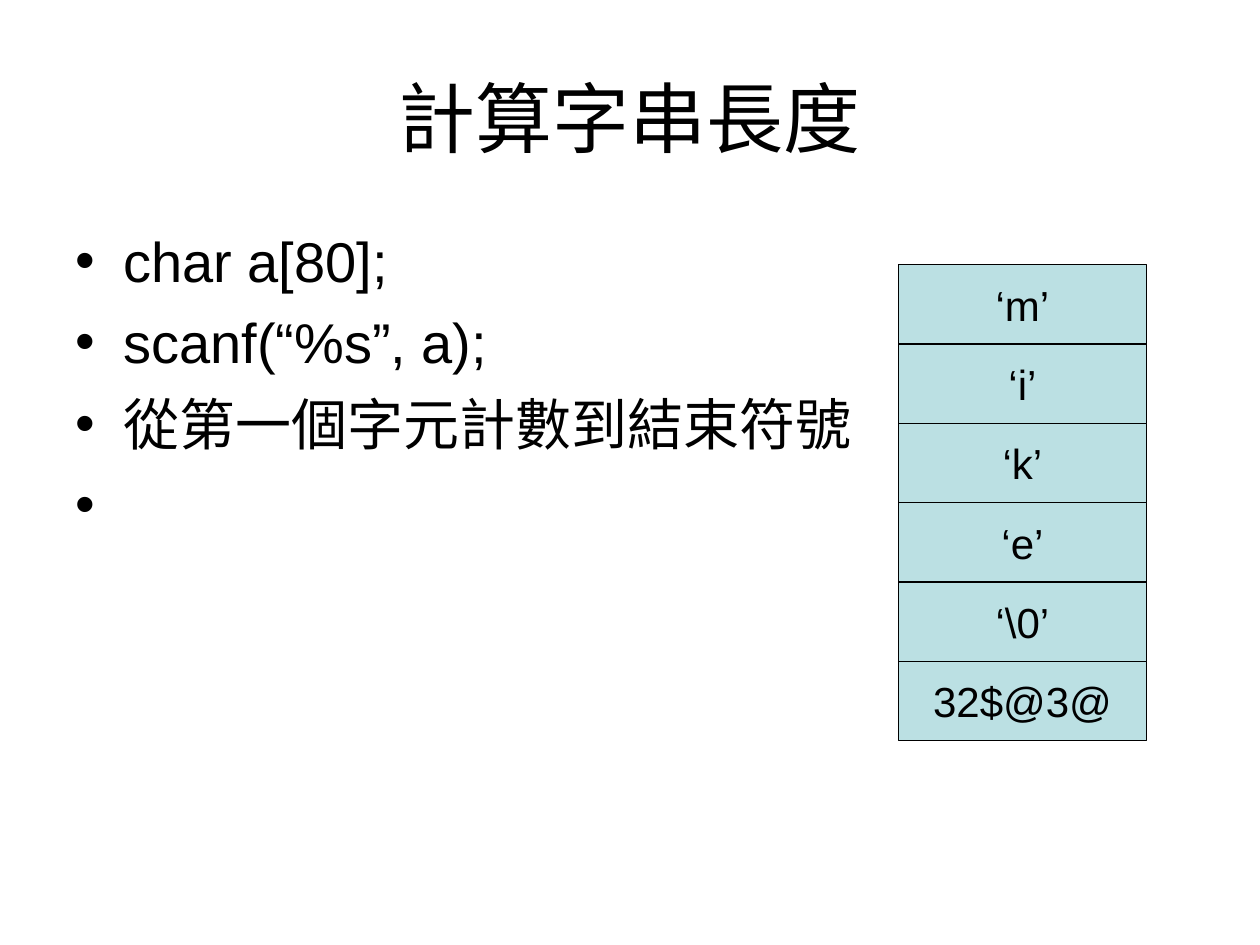
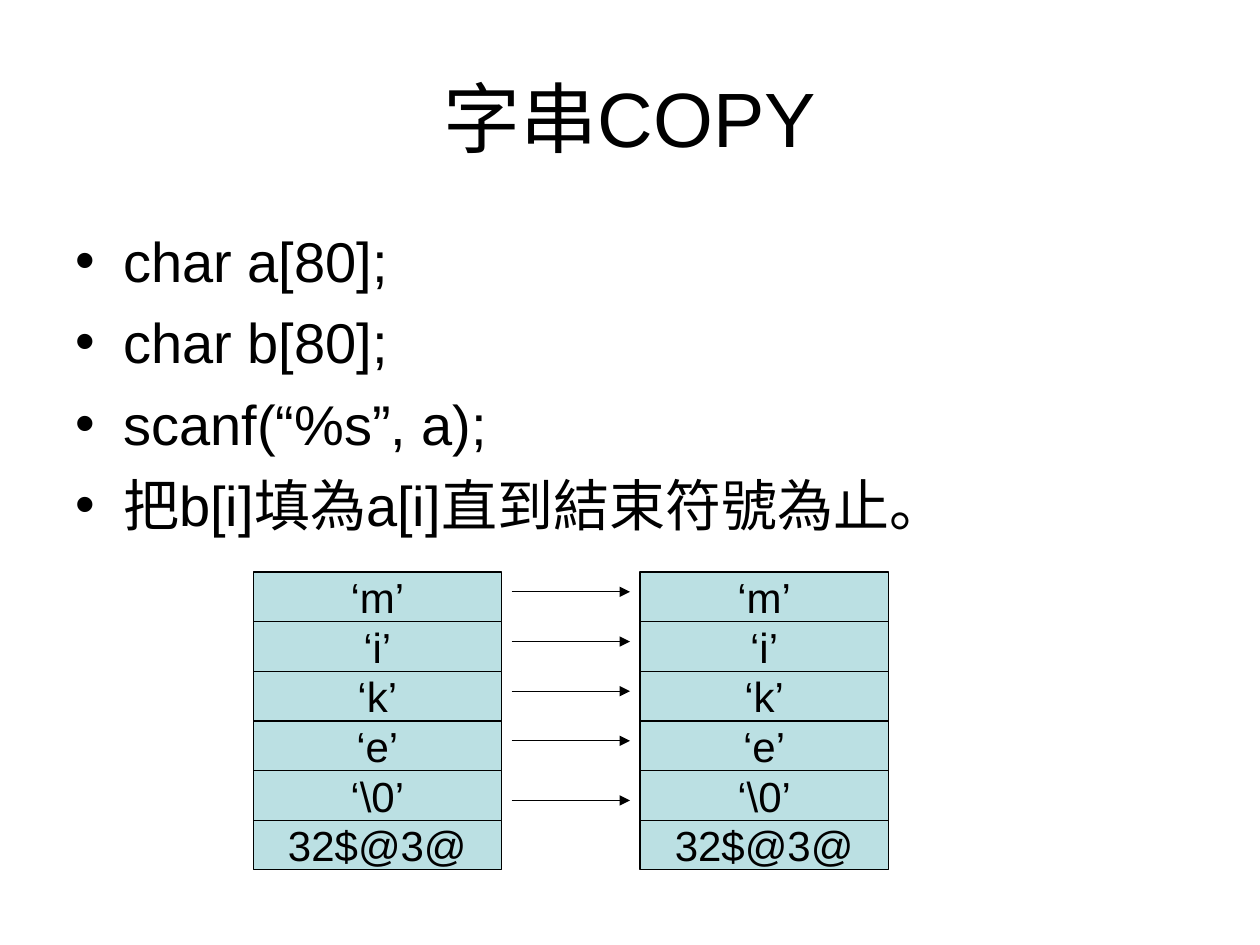
import dataclasses

import lxml.etree
import pptx
import pptx.dml.color
import pptx.enum.shapes
import pptx.enum.text
import pptx.oxml.ns
import pptx.util

Inches = pptx.util.Inches
Pt = pptx.util.Pt
qn = pptx.oxml.ns.qn


@dataclasses.dataclass(frozen=True)
class Theme:
    font: str = "Arial"
    ink: pptx.dml.color.RGBColor = pptx.dml.color.RGBColor(0, 0, 0)
    cell: pptx.dml.color.RGBColor = pptx.dml.color.RGBColor(0xBB, 0xE0, 0xE3)
    title_size: int = 44
    body_size: int = 32
    cell_size: int = 24
    line_width: float = 0.75


theme = Theme()
WIDTH, HEIGHT = 10, 7.5
MARGIN = WIDTH * 0.05
CONTENT = WIDTH - 2 * MARGIN
TITLE_TOP, TITLE_HEIGHT = HEIGHT * 0.04, 1.25
BODY_TOP, BODY_HEIGHT = 1.75, HEIGHT * 0.66
BULLET_INDENT = 0.38
CELL_WIDTH = 1.97
MEMORY = ["‘m’", "‘i’", "‘k’", "‘e’", "‘\\0’", "32$@3@"]

# Each array is (left, top, row height)
slides = [
    {
        "title": "計算字串長度",
        "bullets": ["char a[80];", "scanf(“%s”, a);", "從第一個字元計數到結束符號", " "],
        "arrays": [(7.13, 2.1, 0.63)],
        "arrow_rows": [],
    },
    {
        "title": "字串COPY",
        "bullets": ["char a[80];", "char b[80];", "scanf(“%s”, a);", "把b[i]填為a[i]直到結束符號為止。"],
        "arrays": [(2.01, 4.54, 0.394), (5.08, 4.54, 0.394)],
        "arrow_rows": [0.4, 1.4, 2.4, 3.4, 4.6],
    },
]


def add_run(p, text, size):
    r = p.add_run()
    r.text = text
    r.font.name = theme.font
    r.font.size = Pt(size)
    r.font.color.rgb = theme.ink


def add_text_box(s, top, height):
    """Add a full-width text box and return its text frame."""
    sp = s.shapes.add_textbox(Inches(MARGIN), Inches(top), Inches(CONTENT), Inches(height))
    sp.text_frame.word_wrap = True
    return sp.text_frame


prs = pptx.Presentation()
prs.slide_width = Inches(WIDTH)
prs.slide_height = Inches(HEIGHT)

for content in slides:
    s = prs.slides.add_slide(prs.slide_layouts[6])

    tf = add_text_box(s, TITLE_TOP, TITLE_HEIGHT)
    tf.vertical_anchor = pptx.enum.text.MSO_ANCHOR.MIDDLE
    p = tf.paragraphs[0]
    p.alignment = pptx.enum.text.PP_ALIGN.CENTER
    add_run(p, content["title"], theme.title_size)

    tf = add_text_box(s, BODY_TOP, BODY_HEIGHT)
    for i, text in enumerate(content["bullets"]):
        p = tf.add_paragraph() if i else tf.paragraphs[0]
        p.space_before = Pt(8)
        add_run(p, text, theme.body_size)
        pPr = p._p.get_or_add_pPr()
        pPr.set("marL", str(Inches(BULLET_INDENT)))
        pPr.set("indent", str(-Inches(BULLET_INDENT)))
        lxml.etree.SubElement(pPr, qn("a:buFont"), typeface=theme.font)
        lxml.etree.SubElement(pPr, qn("a:buChar"), char="•")

    for left, top, row_height in content["arrays"]:
        for row, text in enumerate(MEMORY):
            sp = s.shapes.add_shape(
                pptx.enum.shapes.MSO_SHAPE.RECTANGLE,
                Inches(left), Inches(top + row * row_height),
                Inches(CELL_WIDTH), Inches(row_height))
            sp.shadow.inherit = False
            sp.fill.solid()
            sp.fill.fore_color.rgb = theme.cell
            sp.line.color.rgb = theme.ink
            sp.line.width = Pt(theme.line_width)
            tf = sp.text_frame
            tf.word_wrap = False
            tf.vertical_anchor = pptx.enum.text.MSO_ANCHOR.MIDDLE
            p = tf.paragraphs[0]
            p.alignment = pptx.enum.text.PP_ALIGN.CENTER
            add_run(p, text, theme.cell_size)

    for arrow_row in content["arrow_rows"]:
        left, top, row_height = content["arrays"][0]
        start = left + CELL_WIDTH + 0.08
        end = content["arrays"][1][0] - 0.08
        y = top + arrow_row * row_height
        arrow = s.shapes.add_connector(
            pptx.enum.shapes.MSO_CONNECTOR.STRAIGHT,
            Inches(start), Inches(y), Inches(end), Inches(y))
        arrow.line.color.rgb = theme.ink
        arrow.line.width = Pt(theme.line_width)
        lxml.etree.SubElement(arrow.line._get_or_add_ln(), qn("a:tailEnd"), type="triangle")
        lxml.etree.SubElement(arrow._element.spPr, qn("a:effectLst"))

prs.save("out.pptx")
